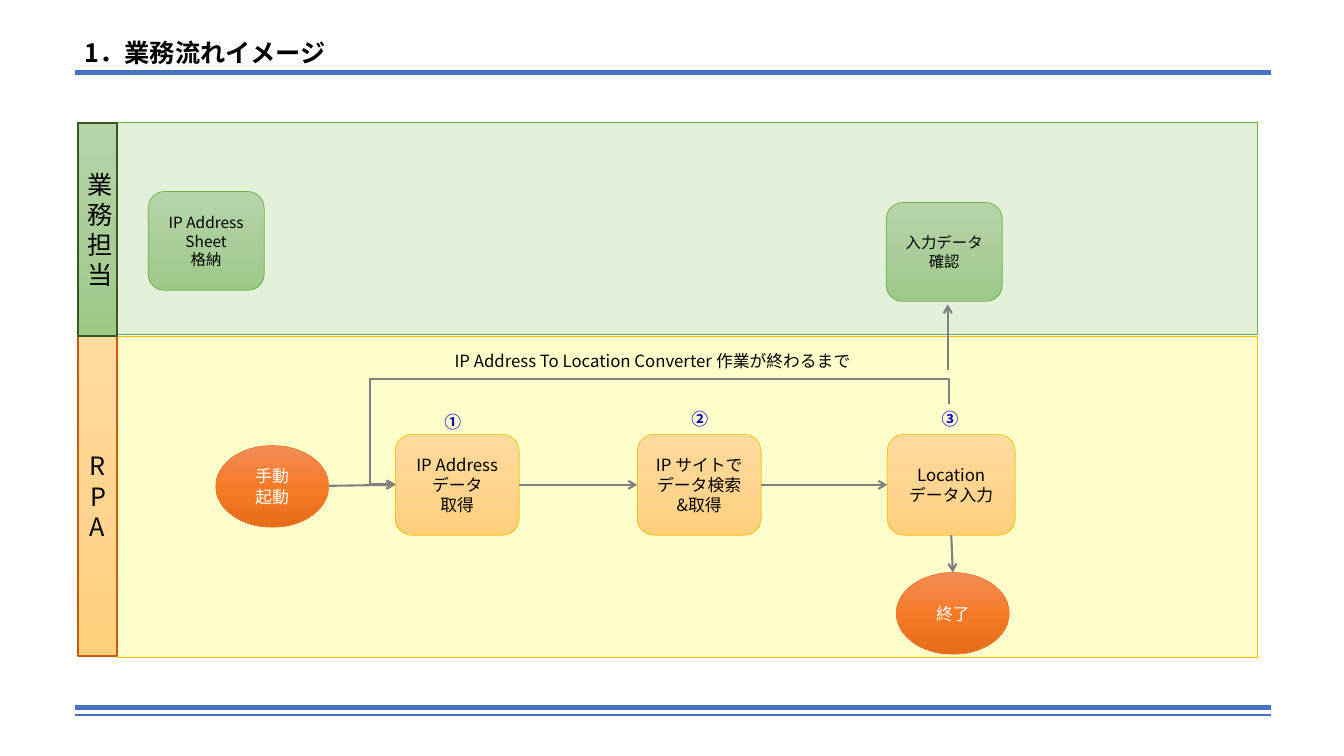
"""Build a swimlane slide showing the flow between staff and RPA."""
import copy
from dataclasses import dataclass

from lxml import etree
from pptx import Presentation, util as u
from pptx.dml.color import RGBColor
from pptx.enum import shapes, text
from pptx.oxml.ns import qn

KIND = shapes.MSO_SHAPE
LINK = shapes.MSO_CONNECTOR
TOP, LEFT, BOTTOM, RIGHT = range(4)


@dataclass(frozen=True)
class Theme:
    """Hold the font, colours and type sizes."""
    font: str = "Noto Sans CJK JP"
    rule: str = "4472C4"
    arrow: str = "808080"
    black: str = "000000"
    white: str = "FFFFFF"
    mark: str = "0000CC"
    gold: str = "FFC000"
    leaf: str = "70AD47"
    rust: str = "ED7D31"
    moss: str = "385723"
    clay: str = "C55A11"
    cream: str = "FFFFCC"
    mint: str = "E2F0D9"
    green: tuple = ("B5D5A7", "AACE9A", "9CC987")
    amber: tuple = ("FFDB9E", "FFD590", "FFD07C")
    fire: tuple = ("F18C57", "F67B28", "E56C19")
    head: int = 18
    body: int = 12
    small: int = 11


THEME = Theme()


def color(code):
    """Turn a hex code into a colour."""
    return RGBColor.from_string(code)


def write(frame, lines, size, ink, bold=False, align=text.PP_ALIGN.CENTER):
    """Write one paragraph for each line of text."""
    frame.word_wrap = True
    for num, line in enumerate(lines):
        para = frame.add_paragraph() if num else frame.paragraphs[0]
        para.alignment = align
        for part, words in enumerate(line.split("\n")):
            if part:
                para.add_line_break()
            run = para.add_run()
            run.text = words
            font = run.font
            font.name, font.size, font.bold = THEME.font, u.Pt(size), bold
            font.color.rgb = color(ink)
            east = etree.SubElement(font._element, qn("a:ea"))
            east.set("typeface", THEME.font)


def label(slide, box, words, size=THEME.body, ink=THEME.black, **style):
    """Add a text box with one line."""
    frame = slide.shapes.add_textbox(*map(u.Inches, box)).text_frame
    write(frame, [words], size, ink, **style)


def shade(shape, tones):
    """Fill a shape with a three-stop gradient from top to bottom."""
    fill = shape.fill
    fill.gradient()
    fill.gradient_angle = 270
    stops = shape._element.spPr.find(".//" + qn("a:gsLst"))
    stops.append(copy.deepcopy(stops[-1]))
    for num, (stop, tone) in enumerate(zip(fill.gradient_stops, tones)):
        stop.color.rgb = color(tone)
        stop.position = num / 2


def block(slide, kind, box, fill, edge, lines=(), size=THEME.body,
          ink=THEME.black, width=0.5):
    """Add a filled and outlined shape, with any text centred."""
    shape = slide.shapes.add_shape(kind, *map(u.Inches, box))
    shape.shadow.inherit = False
    if isinstance(fill, tuple):
        shade(shape, fill)
    else:
        shape.fill.solid()
        shape.fill.fore_color.rgb = color(fill)
    shape.line.color.rgb = color(edge)
    shape.line.width = u.Pt(width)
    shape.text_frame.vertical_anchor = text.MSO_ANCHOR.MIDDLE
    write(shape.text_frame, lines, size, ink)
    return shape


def wire(slide, start, end, ink=THEME.arrow, width=1.5, tip=True,
         kind=LINK.STRAIGHT):
    """Add a line, with an open arrowhead at its end if wanted."""
    line = slide.shapes.add_connector(kind, *map(u.Inches, start + end))
    line.line.color.rgb = color(ink)
    line.line.width = u.Pt(width)
    if tip:
        tail = etree.SubElement(line.line._ln, qn("a:tailEnd"))
        tail.set("type", "arrow")
    etree.SubElement(line._element.spPr, qn("a:effectLst"))
    return line


def loop(slide):
    """Add the bent arrow from the last step back to the first."""
    line = wire(slide, (7.07, 7.15), (6.27, 1.66), kind=LINK.ELBOW)
    props = line._element.spPr
    props.find(qn("a:xfrm")).set("rot", str(270 * 60000))
    geom = props.find(qn("a:prstGeom"))
    geom.set("prst", "bentConnector4")
    guides = geom.find(qn("a:avLst"))
    if guides is None:
        guides = etree.SubElement(geom, qn("a:avLst"))
    for name, value in (("adj1", -31200), ("adj2", 104600)):
        guide = etree.SubElement(guides, qn("a:gd"))
        guide.set("name", name)
        guide.set("fmla", f"val {value}")


def lanes(slide):
    """Add both lanes and their headings."""
    block(slide, KIND.RECTANGLE, (1.16, 3.34, 11.31, 3.18),
          THEME.cream, THEME.gold)
    block(slide, KIND.RECTANGLE, (0.77, 1.21, 11.7, 2.11),
          THEME.mint, THEME.leaf)
    for top, high, tones, edge, name in (
            (3.33, 3.18, THEME.amber, THEME.clay, "RPA"),
            (1.22, 2.11, THEME.green, THEME.moss, "業務担当")):
        block(slide, KIND.RECTANGLE, (0.77, top, 0.39, high), tones, edge,
              [name], THEME.head, width=1.5)


def flow(slide):
    """Add the steps, the start and end, and the arrows between them."""
    for left, top, lines in ((2.14, 4.42, ["手動", "起動"]),
                             (8.89, 5.68, ["終了"])):
        block(slide, KIND.OVAL, (left, top, 1.12, 0.81), THEME.fire,
              THEME.rust, lines, ink=THEME.white)
    for left, top, lines in ((1.47, 1.9, ["IP Address Sheet", "格納"]),
                             (8.79, 2.01, ["入力データ\n確認"])):
        block(slide, KIND.ROUNDED_RECTANGLE, (left, top, 1.15, 0.98),
              THEME.green, THEME.leaf, lines, THEME.small)
    steps = []
    for left, wide, sign, spot, lines in (
            (3.92, 1.23, "①", (4.31, 4.04), ["IP Address", "データ", "取得"]),
            (6.32, 1.23, "②", (6.76, 4.01), ["IP サイトで", "データ検索&取得"]),
            (8.8, 1.27, "③", (9.24, 4.01), ["Location", "データ入力"])):
        label(slide, spot + (0.34, 0.3), sign, ink=THEME.mark, bold=True)
        steps.append(block(slide, KIND.ROUNDED_RECTANGLE,
                           (left, 4.31, wide, 1), THEME.amber, THEME.gold,
                           lines))
    wire(slide, (3.26, 4.82), (3.92, 4.81)).end_connect(steps[0], LEFT)
    for prior, after in zip(steps, steps[1:]):
        line = wire(slide, (5.15, 4.81), (6.32, 4.81))
        line.begin_connect(prior, RIGHT)
        line.end_connect(after, LEFT)
    wire(slide, (9.45, 5.31), (9.45, 5.68)).begin_connect(steps[-1], BOTTOM)
    wire(slide, (9.4, 3.67), (9.4, 3.02))
    loop(slide)


def main():
    """Build and save the slide."""
    deck = Presentation()
    deck.slide_width, deck.slide_height = u.Inches(13.33), u.Inches(7.5)
    slide = deck.slides.add_slide(deck.slide_layouts[6])
    for top, width in ((7.02, 3), (7.09, 1.5), (0.72, 3)):
        wire(slide, (0.74, top), (12.61, top), THEME.rule, width, tip=False)
    label(slide, (0.74, 0.32, 3.43, 0.4), "1．業務流れイメージ", THEME.head,
          bold=True, align=text.PP_ALIGN.LEFT)
    lanes(slide)
    flow(slide)
    label(slide, (4.41, 3.43, 4.69, 0.3),
          "IP Address To Location Converter 作業が終わるまで",
          align=text.PP_ALIGN.LEFT)
    deck.save("out.pptx")


if __name__ == "__main__":
    main()
